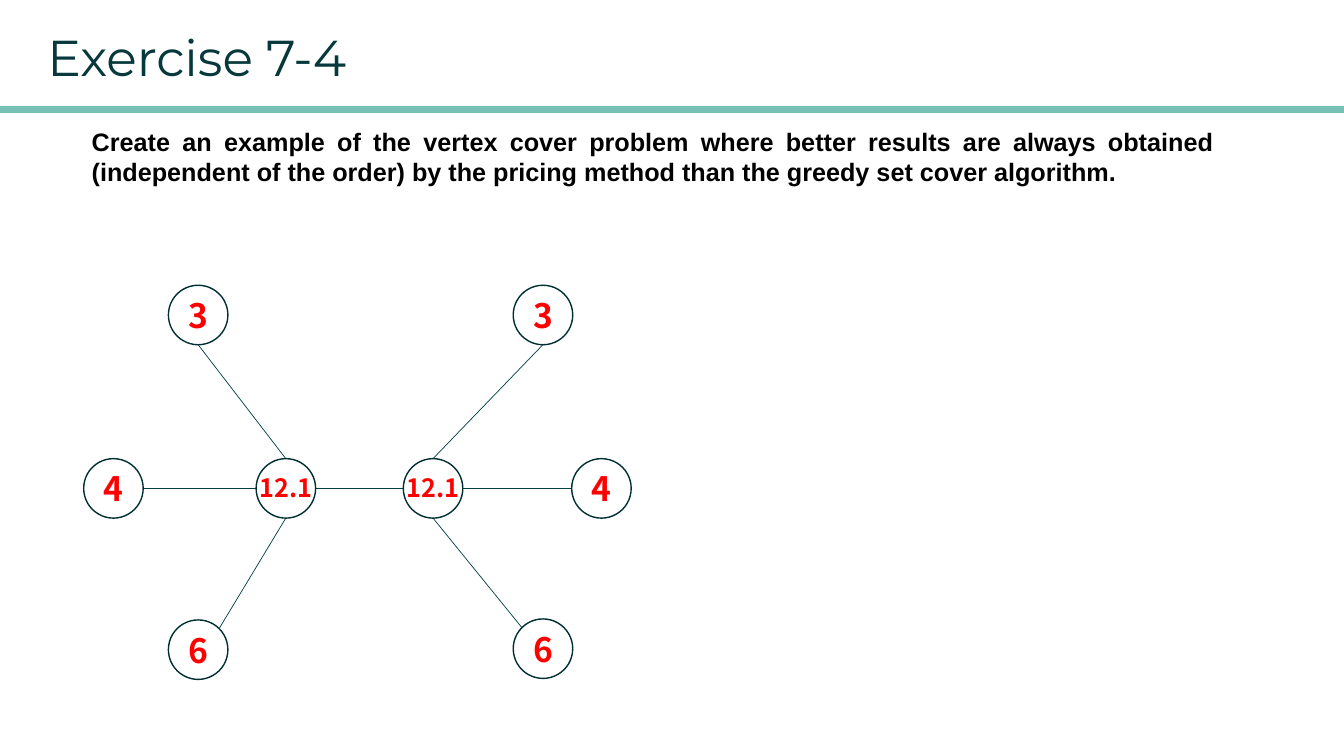
from math import cos, radians, sin

from lxml.etree import SubElement
from pptx import Presentation
from pptx.dml.color import RGBColor as RGB
from pptx.enum.shapes import MSO_CONNECTOR as LINK, MSO_SHAPE as SHAPE
from pptx.enum.text import MSO_ANCHOR as ANCHOR, MSO_AUTO_SIZE as FIT, PP_ALIGN as ALIGN
from pptx.oxml.ns import qn
from pptx.util import Inches, Pt

WIDE, HIGH = 13.33, 7.5
COLORS = {"band": "77C0B5", "rim": "76BFB4", "title": "06383C", "text": "000000",
          "node": "002F32", "edge": "003F43", "cost": "FF0000"}
FONTS = {
    "title": {"name": "Montserrat", "size": Pt(36), "bold": False},
    "text": {"name": "Arial", "size": Pt(18), "bold": True},
    "cost": {"name": "Noto Sans CJK SC", "size": Pt(24), "bold": True},
}
SIZE = 0.59  # node diameter
HUB = "12.1"
# name: (left, top, cost), measured from the corner of the graph
NODES = {
    "hub1": (1.71, 1.72, HUB), "hub2": (3.17, 1.72, HUB),
    "top1": (0.84, 0, "3"), "side1": (0, 1.72, "4"), "low1": (0.84, 3.32, "6"),
    "top2": (4.26, 0, "3"), "side2": (4.84, 1.72, "4"), "low2": (4.26, 3.31, "6"),
}
# (node, angle) pairs, clockwise in degrees from the right
EDGES = [
    (("side1", 0), ("hub1", 180)), (("low1", -45), ("hub1", 90)),
    (("hub1", 0), ("hub2", 180)), (("hub1", -90), ("top1", 90)),
    (("hub2", -90), ("top2", 90)), (("hub2", 0), ("side2", 180)),
    (("hub2", 90), ("low2", -135)),
]


def tint(name):
    return RGB.from_string(COLORS[name])


def write(shape, text, style, align, anchor=ANCHOR.TOP, **extra):
    frame = shape.text_frame
    for key, val in {"word_wrap": True, "auto_size": FIT.NONE,
                     "vertical_anchor": anchor}.items():
        setattr(frame, key, val)
    par = frame.paragraphs[0]
    par.alignment, par.space_before = align, Pt(0)
    run = par.add_run()
    run.text = text
    for key, val in {**FONTS[style], **extra}.items():
        setattr(run.font, key, val)
    run.font.color.rgb = tint(style)
    return par


def place(shape, box):
    for key, val in zip(("left", "top", "width", "height"), box):
        setattr(shape, key, Inches(val))


def draw(slide, kind, box, line, fill=None):
    shape = slide.shapes.add_shape(kind, *map(Inches, box))
    shape.shadow.inherit = False
    if fill:
        shape.fill.solid()
        shape.fill.fore_color.rgb = tint(fill)
    else:
        shape.fill.background()
    shape.line.color.rgb = tint(line)
    shape.line.width = Pt(1)
    return shape


def header(slide, box):
    left, top, width, height = box
    draw(slide, SHAPE.RECTANGLE, (left, top + height - 0.05, width, 0.05), "rim", "band")
    title = slide.shapes.title
    place(title, (left + 0.37, top + 0.21, 5.67, 0.71))
    write(title, "Exercise 7-4", "title", ALIGN.LEFT)


def task(slide, box):
    body = slide.placeholders[1]
    place(body, box)
    par = write(body, "Create an example of the vertex cover problem where better results "
                "are always obtained (independent of the order) by the pricing method "
                "than the greedy set cover algorithm.", "text", ALIGN.JUSTIFY)
    props = par._p.get_or_add_pPr()
    props.set("marL", "0")
    props.set("indent", "0")
    SubElement(props, qn("a:buNone"))


def node(slide, x, y, cost):
    disc = draw(slide, SHAPE.OVAL, (x, y, SIZE, SIZE), "node")
    if cost == HUB:
        box = (x - 0.14, y + 0.09, SIZE + 0.28, 0.4)
        label = slide.shapes.add_textbox(*map(Inches, box))
        write(label, cost, "cost", ALIGN.CENTER, size=Pt(18))
    else:
        write(disc, cost, "cost", ALIGN.CENTER, ANCHOR.MIDDLE)


def edge(slide, start, end):
    link = slide.shapes.add_connector(LINK.STRAIGHT, *map(Inches, start + end))
    link.line.color.rgb = tint("edge")
    link.line.width = Pt(0.5)
    SubElement(link._element.spPr, qn("a:effectLst"))


def graph(slide, left, top):
    def rim(name, angle):
        x, y, _ = NODES[name]
        mid, turn = SIZE / 2, radians(angle)
        return left + x + mid * (1 + cos(turn)), top + y + mid * (1 + sin(turn))

    for start, end in EDGES:
        edge(slide, rim(*start), rim(*end))
    for x, y, cost in NODES.values():
        node(slide, left + x, top + y, cost)


def main():
    deck = Presentation()
    deck.slide_width, deck.slide_height = Inches(WIDE), Inches(HIGH)
    slide = deck.slides.add_slide(deck.slide_layouts[1])
    header(slide, (0, 0, WIDE, 1.11))
    task(slide, (0.81, 1.2, 0.85 * WIDE, 0.71))
    graph(slide, 0.83, 2.83)
    deck.save("out.pptx")


if __name__ == "__main__":
    main()
